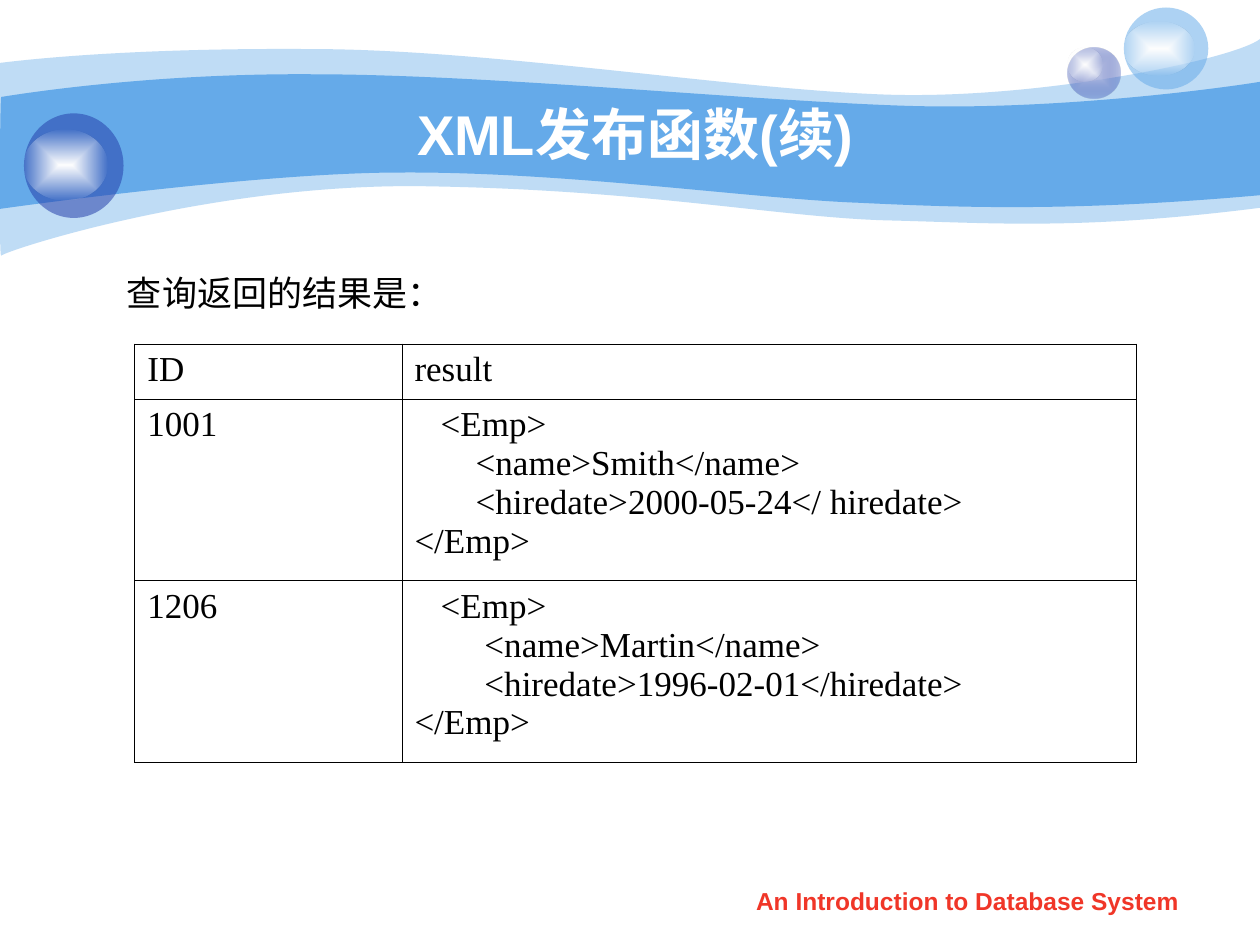
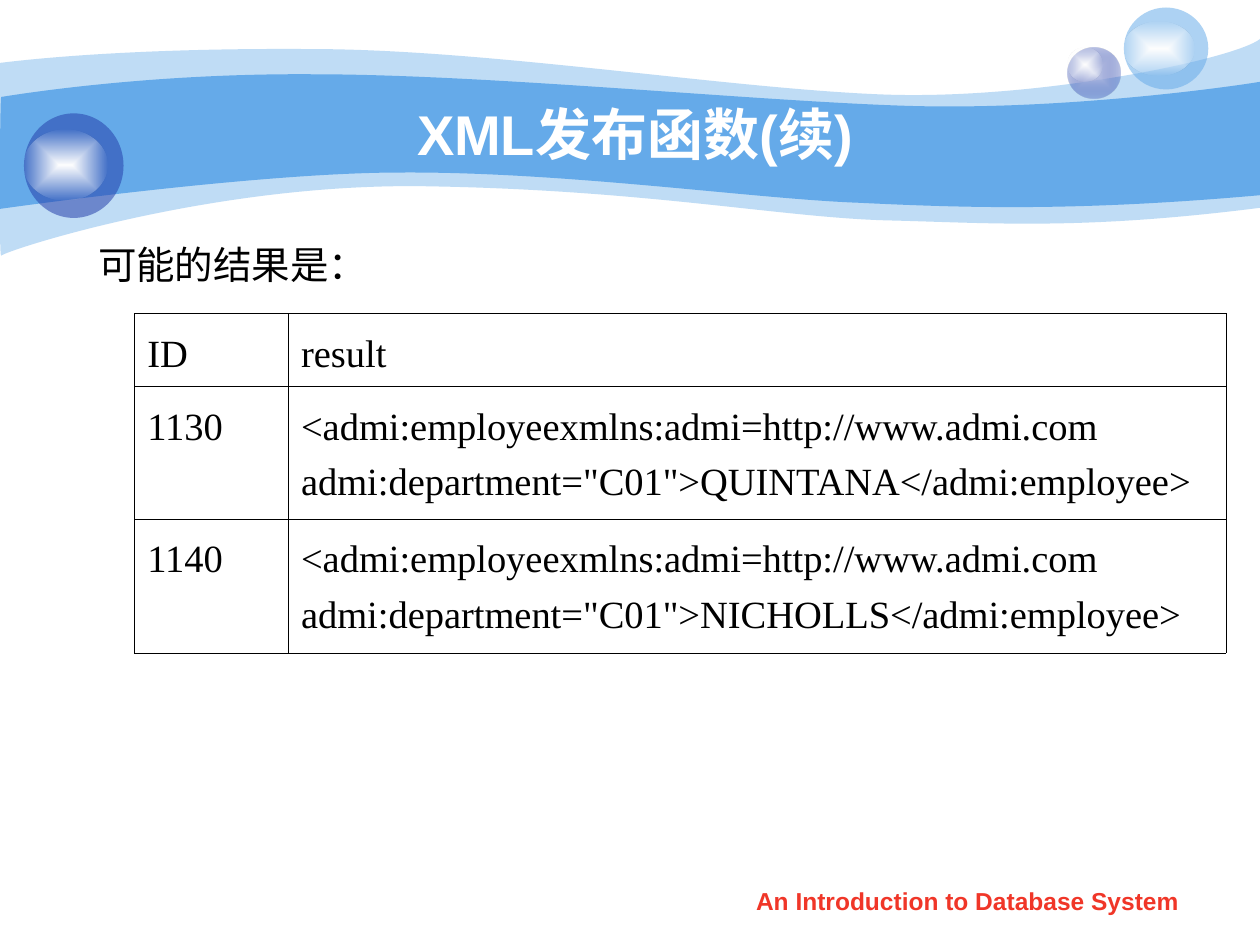
"""Build two slides on XML publishing functions, each with a result table."""
import pptx
import pptx.dml.color
import pptx.enum.shapes
import pptx.enum.text
import pptx.oxml
import pptx.oxml.ns
import pptx.util
from lxml import etree

Inches = pptx.util.Inches
Pt = pptx.util.Pt
ALIGN = pptx.enum.text.PP_ALIGN
ANCHOR = pptx.enum.text.MSO_ANCHOR
qn = pptx.oxml.ns.qn

COLORS = {"sky": "65AAE9", "navy": "233DA9", "lilac": "C7CEE9",
          "white": "FFFFFF", "black": "000000", "red": "F03628"}
TITLE = "XML发布函数(续)"
FOOTER = "An Introduction to Database System"
SERIF = "Times New Roman"

SLIDES = [
    {"lead": "查询返回的结果是：", "lead_at": (0.91, 2.1, 2.7, 0.44),
     "size": 20, "spacing": 1.0, "table_at": (1.07, 2.73),
     "cols": (2.12, 5.83), "heights": (0.44, 1.44, 1.44),
     "rows": [
         ("ID", "result"),
         ("1001", "   <Emp>\n       <name>Smith</name>\n"
                  "       <hiredate>2000-05-24</ hiredate>\n</Emp>"),
         ("1206", "   <Emp>\n        <name>Martin</name>\n"
                  "        <hiredate>1996-02-01</hiredate>\n</Emp>")]},
    {"lead": "可能的结果是：", "lead_at": (0.68, 1.86, 2.33, 0.47),
     "size": 22, "spacing": 1.3, "table_at": (1.07, 2.49),
     "cols": (1.22, 7.44), "heights": (0.58, 1.05, 1.06),
     "rows": [
         ("ID", "result"),
         ("1130", '<admi:employeexmlns:admi=http://www.admi.com '
                  'admi:department="C01">QUINTANA</admi:employee>'),
         ("1140", '<admi:employeexmlns:admi=http://www.admi.com '
                  'admi:department="C01">NICHOLLS</admi:employee>')]},
]

# Each edge: a start point, then cubic curves of two control points and an end.
WAVES = [
    {"alpha": 41,
     "top": [(0, 0.5), (0.24, 0.47), (1.07, 0.38), (2.47, 0.39),
             (3.86, 0.39), (5.75, 0.7), (6.99, 0.75),
             (8.22, 0.8), (9.8, 0.47), (10, 0.31)],
     "bottom": [(10, 1.65), (8.58, 1.83), (7.87, 1.77), (7.05, 1.75),
                (6.22, 1.73), (5.15, 1.51), (3.43, 1.48),
                (1.72, 1.44), (0.04, 1.99), (0.01, 2.03),
                (-0.01, 2.08), (0, 0.75), (0, 0.5)]},
    {"alpha": 100,
     "top": [(0.01, 0.77), (0.02, 0.77), (1.1, 0.58), (2.48, 0.59),
             (3.86, 0.59), (5.95, 0.8), (7.18, 0.84),
             (8.41, 0.88), (9.76, 0.69), (10, 0.65)],
     "bottom": [(10, 1.55), (8.53, 1.68), (7.65, 1.65), (6.82, 1.61),
                (5.99, 1.58), (4.47, 1.36), (3.17, 1.37),
                (2.03, 1.37), (-0.02, 1.66), (-0.01, 1.66),
                (0, 1.66), (0, 0.77), (0.01, 0.77)]},
]

GLOW = [("white", 100), ("white", 0)]
BUBBLES = [
    ((8.47, 0.38, 0.42, 0.4), [("lilac", 100), ("navy", 31)]),
    ((8.47, 0.38, 0.28, 0.27), GLOW),
    ((8.92, 0.06, 0.67, 0.65), [("sky", 53)]),
    ((8.92, 0.17, 0.56, 0.43), GLOW),
    ((0.19, 0.9, 0.79, 0.83), [("navy", 53)]),
    ((0.19, 1.03, 0.66, 0.56), GLOW),
]


def rgb(name):
    return pptx.dml.color.RGBColor.from_string(COLORS[name])


def inches(values):
    return [Inches(v) for v in values]


def write(tf, text, size=20, font=SERIF, color="black", bold=False,
          align=ALIGN.LEFT, spacing=1.0):
    for i, line in enumerate(text.split("\n")):
        p = tf.add_paragraph() if i else tf.paragraphs[0]
        p.alignment, p.line_spacing = align, spacing
        r = p.add_run()
        r.text = line
        r.font.size, r.font.name, r.font.bold = Pt(size), font, bold
        r.font.color.rgb = rgb(color)


def add_text(s, at, text, wrap=True, anchor=ANCHOR.MIDDLE, **style):
    tf = s.shapes.add_textbox(*inches(at)).text_frame
    tf.word_wrap, tf.vertical_anchor = wrap, anchor
    write(tf, text, **style)


def paint(sp, stops):
    sp.shadow.inherit = False
    sp.line.fill.background()
    sp.fill.solid()
    sp.fill.fore_color.rgb = rgb(stops[0][0])
    solid = sp._element.spPr.find(qn("a:solidFill"))
    if len(stops) == 1:
        if stops[0][1] < 100:
            etree.SubElement(solid[0], qn("a:alpha"),
                             val=str(stops[0][1] * 1000))
        return
    grad = etree.Element(qn("a:gradFill"), rotWithShape="1")
    gs_list = etree.SubElement(grad, qn("a:gsLst"))
    for pos, (color, alpha) in zip((0, 100000), stops):
        gs = etree.SubElement(gs_list, qn("a:gs"), pos=str(pos))
        clr = etree.SubElement(gs, qn("a:srgbClr"), val=COLORS[color])
        etree.SubElement(clr, qn("a:alpha"), val=str(alpha * 1000))
    shade = etree.SubElement(grad, qn("a:path"), path="rect")
    etree.SubElement(shade, qn("a:fillToRect"),
                     {side: "50000" for side in "ltrb"})
    solid.getparent().replace(solid, grad)


def bend(lines):
    """Turn each three straight segments into one cubic curve."""
    for i in range(0, len(lines), 3):
        curve = etree.Element(qn("a:cubicBezTo"))
        lines[i].addprevious(curve)
        for line in lines[i:i + 3]:
            curve.append(line[0])
            line.getparent().remove(line)


def add_wave(s, wave):
    top, bottom = wave["top"], wave["bottom"]
    points = [inches(pt) for pt in top + bottom]
    fb = s.shapes.build_freeform(*points[0])
    fb.add_line_segments(points[1:], close=True)
    sp = fb.convert_to_shape()
    lines = list(sp._element.iter(qn("a:lnTo")))
    bend(lines[:len(top) - 1])
    bend(lines[len(top):])
    paint(sp, [("sky", wave["alpha"])])


def add_frame(s):
    for wave in WAVES:
        add_wave(s, wave)
    for at, stops in BUBBLES:
        paint(s.shapes.add_shape(
            pptx.enum.shapes.MSO_SHAPE.OVAL, *inches(at)), stops)
    add_text(s, (5.71, 6.98, 3.94, 0.35), FOOTER, anchor=ANCHOR.TOP, size=14,
             font="Arial", color="red", bold=True, align=ALIGN.CENTER)
    add_text(s, (1, 0.75, 8.08, 0.62), TITLE, size=32, font="Arial",
             color="white", bold=True, align=ALIGN.CENTER)


def add_borders(cell):
    tc_pr = cell._tc.get_or_add_tcPr()
    for i, side in enumerate(("lnL", "lnR", "lnT", "lnB")):
        ln = etree.Element(qn("a:" + side), w=str(Pt(0.45)))
        fill = etree.SubElement(ln, qn("a:solidFill"))
        etree.SubElement(fill, qn("a:srgbClr"), val=COLORS["black"])
        tc_pr.insert(i, ln)


def add_result_table(s, data):
    cols, heights = data["cols"], data["heights"]
    at = (*data["table_at"], sum(cols), sum(heights))
    table = s.shapes.add_table(len(heights), len(cols), *inches(at)).table
    table.first_row = table.horz_banding = False
    for col, width in zip(table.columns, cols):
        col.width = Inches(width)
    for row, height, texts in zip(table.rows, heights, data["rows"]):
        row.height = Inches(height)
        for cell, text in zip(row.cells, texts):
            cell.fill.background()
            add_borders(cell)
            write(cell.text_frame, text, size=data["size"],
                  spacing=data["spacing"])


def main():
    prs = pptx.Presentation()
    prs.slide_width, prs.slide_height = Inches(10), Inches(7.5)
    for data in SLIDES:
        s = prs.slides.add_slide(prs.slide_layouts[6])
        add_frame(s)
        add_text(s, data["lead_at"], data["lead"], wrap=False,
                 size=data["size"])
        add_result_table(s, data)
    prs.save("out.pptx")


if __name__ == "__main__":
    main()
